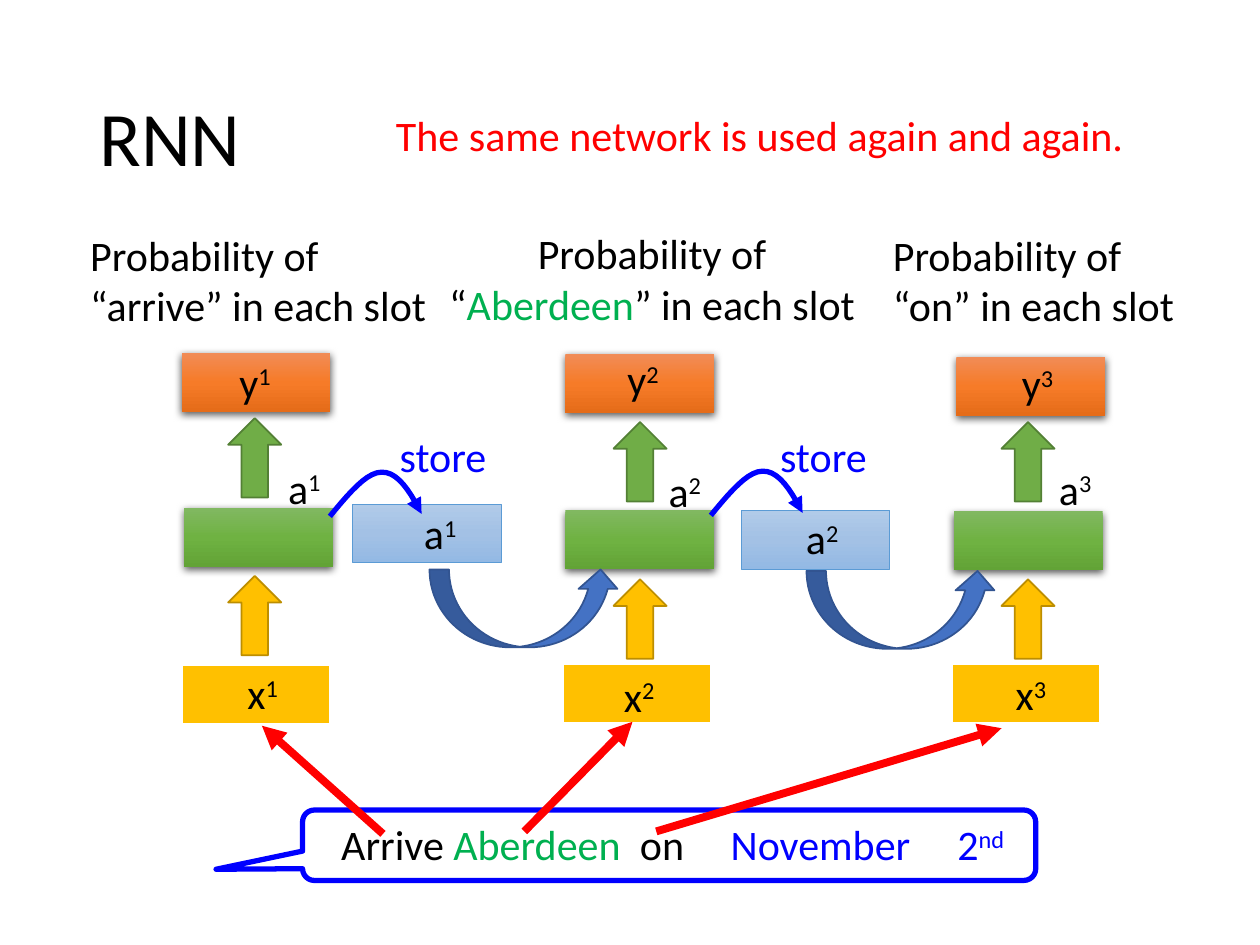
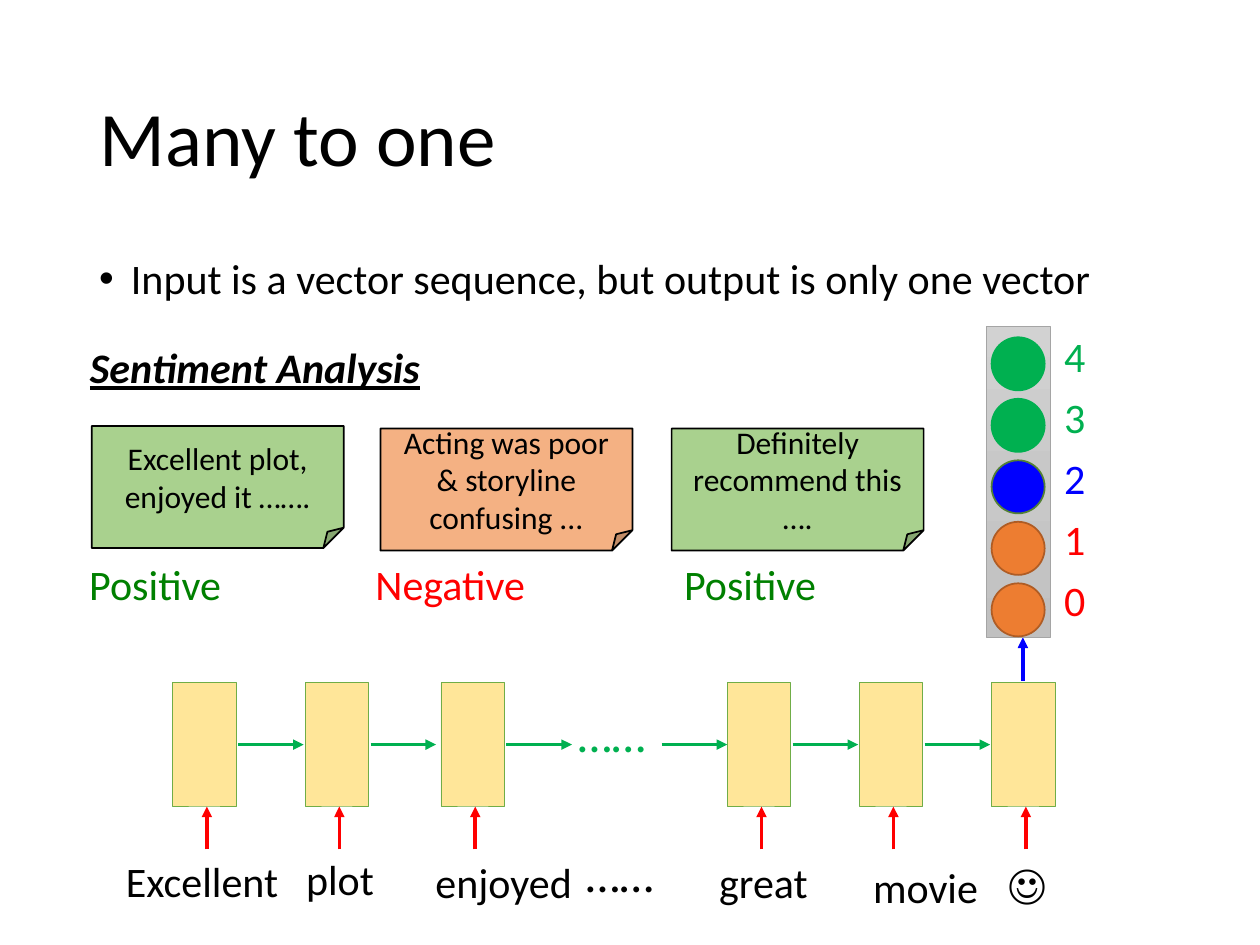
from dataclasses import dataclass
from typing import Any, NamedTuple, Optional, Sequence

from lxml import etree
from pptx import Presentation
from pptx import util as u
from pptx.dml import color
from pptx.enum import shapes, text
from pptx.oxml import ns


@dataclass(frozen=True)
class Theme:
    font: str = "Calibri"
    title: int = 44
    dots: int = 28
    body: int = 24
    note: int = 18
    black: str = "000000"
    white: str = "FFFFFF"
    red: str = "FF0000"
    blue: str = "0000FF"
    green: str = "00B050"
    dark_green: str = "008000"
    leaf: str = "70AD47"
    leaf_edge: str = "538035"
    gold: str = "FFC000"
    gold_edge: str = "BD8E00"
    orange: str = "ED7D31"
    orange_edge: str = "AF5C24"
    royal: str = "4472C4"
    royal_edge: str = "325491"
    sky_edge: str = "5B9BD5"
    grey_edge: str = "A5A5A5"
    cream: str = "FFE699"
    note_green: str = "A9D18E"
    note_orange: str = "F4B183"
    green_blend: tuple = ("81B861", "6FB242", "62A336")
    orange_blend: tuple = ("F18C57", "F67B28", "E56C19")
    sky_blend: tuple = ("B1CBE9", "A3C1E5", "93B9E4")
    grey_blend: tuple = ("D2D2D2", "C8C8C8", "C0C0C0")


THEME = Theme()
KIND = shapes.MSO_SHAPE
ALIGN = text.PP_ALIGN
TITLE_ONLY = 5


class Area(NamedTuple):
    left: float
    top: float
    width: float
    height: float = 1.27

    def lengths(self) -> list:
        return [u.Cm(value) for value in self]


class Span(NamedTuple):
    words: str
    colour: str = THEME.black
    size: int = THEME.body
    raised: bool = False
    strong: bool = False


@dataclass(frozen=True)
class Paint:
    fill: Any = None
    edge: Optional[str] = None
    weight: float = 1
    shadow: bool = False


@dataclass(frozen=True)
class Layer:
    kind: Any
    paint: Paint
    width: float
    height: float
    spots: tuple


class Arrow(NamedTuple):
    start: tuple
    end: tuple
    colour: str
    weight: float


def rgb(code: str) -> color.RGBColor:
    return color.RGBColor.from_string(code)


def write(para: Any, spans: Sequence[Span], align: Any = ALIGN.LEFT) -> None:
    para.alignment = align
    for item in spans:
        span = para.add_run()
        span.text = item.words
        span.font.name = THEME.font
        span.font.size = u.Pt(item.size)
        span.font.color.rgb = rgb(item.colour)
        if item.strong:
            span.font.bold = span.font.italic = span.font.underline = True
        if item.raised:
            span._r.get_or_add_rPr().set("baseline", "30000")


def add_text(page: Any, area: Area, spans: Sequence[Span], align: Any = ALIGN.LEFT) -> Any:
    box = page.shapes.add_textbox(*area.lengths())
    box.text_frame.word_wrap = True
    para = box.text_frame.paragraphs[0]
    write(para, spans, align)
    return para


def add_bullet(para: Any, indent: float) -> None:
    props = para._p.get_or_add_pPr()
    props.set("marL", str(u.Cm(indent)))
    props.set("indent", str(-u.Cm(indent)))
    etree.SubElement(props, ns.qn("a:buFont"), typeface="Arial")
    etree.SubElement(props, ns.qn("a:buChar"), char="•")
    para.line_spacing = 0.9


def add_tabs(para: Any, stops: Sequence[float]) -> None:
    tabs = etree.SubElement(para._p.get_or_add_pPr(), ns.qn("a:tabLst"))
    for stop in stops:
        etree.SubElement(tabs, ns.qn("a:tab"), pos=str(u.Cm(stop)), algn="l")


def blend(box: Any, colours: Sequence[str]) -> None:
    box.fill.gradient()
    box.fill.gradient_angle = 270
    stop_list = box._element.spPr.find(".//" + ns.qn("a:gsLst"))
    etree.SubElement(stop_list, ns.qn("a:gs"), pos="100000")
    for stop, code, position in zip(box.fill.gradient_stops, colours, (0, 0.5, 1)):
        stop.color.rgb = rgb(code)
        stop.position = position


def cast_shadow(box: Any) -> None:
    effects = box._element.spPr.find(ns.qn("a:effectLst"))
    shadow = etree.SubElement(
        effects, ns.qn("a:outerShdw"), blurRad=str(u.Pt(4.5)), dist=str(u.Pt(1.5)),
        dir="5400000", algn="ctr", rotWithShape="0")
    tone = etree.SubElement(shadow, ns.qn("a:srgbClr"), val=THEME.black)
    etree.SubElement(tone, ns.qn("a:alpha"), val="63000")


def dress(box: Any, paint: Paint) -> None:
    box.shadow.inherit = False
    if paint.fill is None:
        box.fill.background()
    elif isinstance(paint.fill, tuple):
        blend(box, paint.fill)
    else:
        box.fill.solid()
        box.fill.fore_color.rgb = rgb(paint.fill)
    if paint.edge:
        box.line.color.rgb = rgb(paint.edge)
        box.line.width = u.Pt(paint.weight)
    else:
        box.line.fill.background()
    if paint.shadow:
        cast_shadow(box)


def add_box(holder: Any, kind: Any, area: Area, paint: Paint) -> Any:
    box = holder.shapes.add_shape(kind, *area.lengths())
    dress(box, paint)
    return box


def add_layer(holder: Any, layer: Layer) -> None:
    for left, top in layer.spots:
        add_box(holder, layer.kind, Area(left, top, layer.width, layer.height), layer.paint)


def point_end(line: Any) -> None:
    outline = line._element.spPr.find(ns.qn("a:ln"))
    etree.SubElement(outline, ns.qn("a:tailEnd"), type="triangle")


def add_arrow(page: Any, arrow: Arrow) -> None:
    ends = [u.Cm(value) for value in (*arrow.start, *arrow.end)]
    line = page.shapes.add_connector(shapes.MSO_CONNECTOR.STRAIGHT, *ends)
    line.line.color.rgb = rgb(arrow.colour)
    line.line.width = u.Pt(arrow.weight)
    point_end(line)
    etree.SubElement(line._element.spPr, ns.qn("a:effectLst"))


def bezier(points: Sequence[tuple], steps: int = 10) -> list:
    curve = []
    for step in range(1, steps + 1):
        t = step / steps
        weights = ((1 - t) ** 3, 3 * t * (1 - t) ** 2, 3 * t * t * (1 - t), t ** 3)
        curve.append(tuple(sum(w * p[axis] for w, p in zip(weights, points)) for axis in (0, 1)))
    return curve


def add_store_curve(page: Any, left: float, top: float) -> None:
    rise = ((0, 0), (0.38, -0.46), (0.74, -0.89), (1.04, -0.89))
    fall = ((1.04, -0.89), (1.37, -0.91), (1.63, -0.48), (1.85, -0.05))
    builder = page.shapes.build_freeform(u.Cm(left), u.Cm(top))
    curve = [(u.Cm(left + x), u.Cm(top + y)) for x, y in bezier(rise) + bezier(fall)]
    builder.add_line_segments(curve, close=False)
    line = builder.convert_to_shape()
    dress(line, Paint(edge=THEME.blue, weight=3))
    point_end(line)


def add_page(deck: Any, heading: str) -> Any:
    page = deck.slides.add_slide(deck.slide_layouts[TITLE_ONLY])
    title = page.shapes.title
    title.left, title.top, title.width, title.height = Area(1.75, 1.02, 21.89, 3.68).lengths()
    title.text_frame.vertical_anchor = text.MSO_ANCHOR.MIDDLE
    para = title.text_frame.paragraphs[0]
    para.line_spacing = 0.9
    write(para, [Span(heading, size=THEME.title)])
    return page


NETWORK = (
    Layer(KIND.RECTANGLE, Paint(THEME.gold, THEME.white, 1.5), 3, 1.19,
          ((3.66, 13.41), (11.35, 13.39), (19.18, 13.39))),
    Layer(KIND.RECTANGLE, Paint(THEME.green_blend, shadow=True), 3, 1.19,
          ((3.71, 10.24), (11.4, 10.29), (19.23, 10.31))),
    Layer(KIND.RECTANGLE, Paint(THEME.orange_blend, shadow=True), 3, 1.19,
          ((3.66, 7.11), (11.4, 7.14), (19.28, 7.19))),
    Layer(KIND.RECTANGLE, Paint(THEME.sky_blend, THEME.sky_edge, 0.5), 3, 1.19,
          ((7.11, 10.16), (14.94, 10.29))),
    Layer(KIND.UP_ARROW, Paint(THEME.gold, THEME.gold_edge), 1.07, 1.6,
          ((4.6, 11.61), (12.37, 11.68), (20.19, 11.68))),
    Layer(KIND.UP_ARROW, Paint(THEME.leaf, THEME.leaf_edge), 1.07, 1.6,
          ((4.6, 8.43), (12.37, 8.51), (20.19, 8.51))),
    Layer(KIND.CURVED_UP_ARROW, Paint(THEME.royal, THEME.royal_edge), 3.84, 1.57,
          ((8.66, 11.48), (16.26, 11.51))),
)
SYMBOLS = (
    ("x", "1", 4.04, 13.34), ("x", "2", 11.63, 13.39), ("x", "3", 19.53, 13.36),
    ("y", "1", 3.89, 7.06), ("y", "2", 11.71, 7.01), ("y", "3", 19.66, 7.09),
    ("a", "1", 4.88, 9.19), ("a", "2", 12.55, 9.25), ("a", "3", 20.42, 9.22),
    ("a", "1", 7.62, 10.11), ("a", "2", 15.32, 10.21),
)


def build_rnn(deck: Any) -> None:
    page = add_page(deck, "RNN")
    for layer in NETWORK:
        add_layer(page, layer)
    for letter, index, left, top in SYMBOLS:
        add_text(page, Area(left, top, 2.51), [Span(letter), Span(index, raised=True)], ALIGN.CENTER)
    for left, curve_left, curve_top in ((7.47, 6.65, 10.41), (15.14, 14.33, 10.39)):
        add_text(page, Area(left, 8.56, 2.92), [Span("store", THEME.blue)], ALIGN.CENTER)
        add_store_curve(page, curve_left, curve_top)
    add_text(page, Area(7.72, 2.08, 15.19),
             [Span("The same network is used again and again.", THEME.red)], ALIGN.CENTER)
    sentence = add_text(page, Area(6.63, 16.38, 14.25), [
        Span("Arrive "), Span("Aberdeen\t", THEME.green), Span("on\t"),
        Span("November\t2", THEME.blue), Span("nd", THEME.blue, raised=True)])
    add_tabs(sentence, (6.02, 7.85, 12.42))
    callout = add_box(page, KIND.ROUNDED_RECTANGULAR_CALLOUT, Area(6.1, 16.33, 14.78, 1.42),
                      Paint(edge=THEME.blue, weight=3))
    for position, value in enumerate((-0.618, 0.341, 0.167)):
        callout.adjustments[position] = value
    for start, end in (((7.72, 16.81), (5.28, 14.63)), ((10.57, 16.76), (12.75, 14.55)),
                       ((13.23, 16.76), (20.19, 14.68))):
        add_arrow(page, Arrow(start, end, THEME.red, 4.5))
    for area, word, colour, align in (
            (Area(1.57, 4.5, 7.49, 2.31), "arrive", THEME.black, ALIGN.LEFT),
            (Area(8.66, 4.47, 8.97, 2.31), "Aberdeen", THEME.green, ALIGN.CENTER),
            (Area(17.75, 4.5, 6.48, 2.31), "on", THEME.black, ALIGN.LEFT)):
        add_text(page, area, [Span("Probability of “"), Span(word, colour), Span("” in each slot")], align)


REVIEWS = (
    ("Excellent plot, enjoyed it …….", THEME.note_green, 1.85, 8.59, "Positive", THEME.dark_green, 1.55),
    ("Acting was poor & storyline confusing ...", THEME.note_orange, 7.67, 8.64, "Negative", THEME.red, 7.32),
    ("Definitely recommend this ….", THEME.note_green, 13.54, 8.64, "Positive", THEME.dark_green, 13.54),
)
WORDS = (
    ("Excellent", Area(2.29, 17.12, 3.7)), ("plot", Area(5.92, 17.09, 2.01)),
    ("enjoyed", Area(8.53, 17.15, 3.4)), ("great", Area(14.25, 17.15, 2.4)),
    ("movie", Area(17.35, 17.25, 2.75)), ("☺", Area(20.07, 17.17, 1.3)),
)
LEVELS = (
    ("4", THEME.green, Paint(THEME.green, THEME.green)),
    ("3", THEME.green, Paint(THEME.green, THEME.green)),
    ("2", THEME.blue, Paint(THEME.blue, THEME.leaf_edge)),
    ("1", THEME.red, Paint(THEME.orange, THEME.orange_edge)),
    ("0", THEME.red, Paint(THEME.orange, THEME.orange_edge)),
)
CELL_LEFTS = (3.48, 6.15, 8.89, 14.66, 17.32, 19.99)


def build_many_to_one(deck: Any) -> None:
    page = add_page(deck, "Many to one")
    add_bullet(add_text(page, Area(1.75, 5.08, 21.89),
                        [Span("Input is a vector sequence, but output is only one vector")]), 0.64)
    add_text(page, Area(1.37, 6.76, 7.54), [Span("Sentiment Analysis", strong=True)], ALIGN.CENTER)
    add_layer(page, Layer(KIND.RECTANGLE, Paint(THEME.cream, THEME.leaf, 0.5), 1.28, 2.49,
                          tuple((left, 13.76) for left in CELL_LEFTS)))
    for left in CELL_LEFTS:
        add_arrow(page, Arrow((left + 0.69, 17.12), (left + 0.69, 16.26), THEME.red, 2))
    for start in (*(left + 1.32 for left in CELL_LEFTS[:-1]), 13.34):
        add_arrow(page, Arrow((start, 15.01), (start + 1.32, 15.01), THEME.green, 2))
    add_arrow(page, Arrow((20.62, 13.72), (20.62, 12.85), THEME.blue, 2))
    for left, top, colour in ((11.4, 14.05, THEME.green), (11.56, 16.87, THEME.black)):
        add_text(page, Area(left, top, 3.07, 1.45), [Span("……", colour, THEME.dots)])
    for word, area in WORDS:
        add_text(page, area, [Span(word)])
    meter = page.shapes.add_group_shape()
    add_box(meter, KIND.RECTANGLE, Area(19.89, 6.58, 1.28, 6.27),
            Paint(THEME.grey_blend, THEME.grey_edge, 0.5))
    for row, (level, colour, paint) in enumerate(LEVELS):
        add_box(meter, KIND.OVAL, Area(19.99, 6.8 + 1.24 * row, 1.07, 1.07), paint)
        add_text(page, Area(21.2, 6.53 + 1.23 * row, 0.94), [Span(level, colour)])
    for review, fill, left, top, verdict, colour, verdict_left in REVIEWS:
        note = add_box(page, KIND.FOLDED_CORNER, Area(left, top, 5.08, 2.46), Paint(fill, THEME.black))
        note.text_frame.word_wrap = True
        note.text_frame.vertical_anchor = text.MSO_ANCHOR.MIDDLE
        write(note.text_frame.paragraphs[0], [Span(review, size=THEME.note)], ALIGN.CENTER)
        add_text(page, Area(verdict_left, 11.13, 5.97), [Span(verdict, colour)])


def main() -> None:
    deck = Presentation()
    deck.slide_width, deck.slide_height = u.Cm(25.4), u.Cm(19.05)
    build_rnn(deck)
    build_many_to_one(deck)
    deck.save("out.pptx")


if __name__ == "__main__":
    main()
